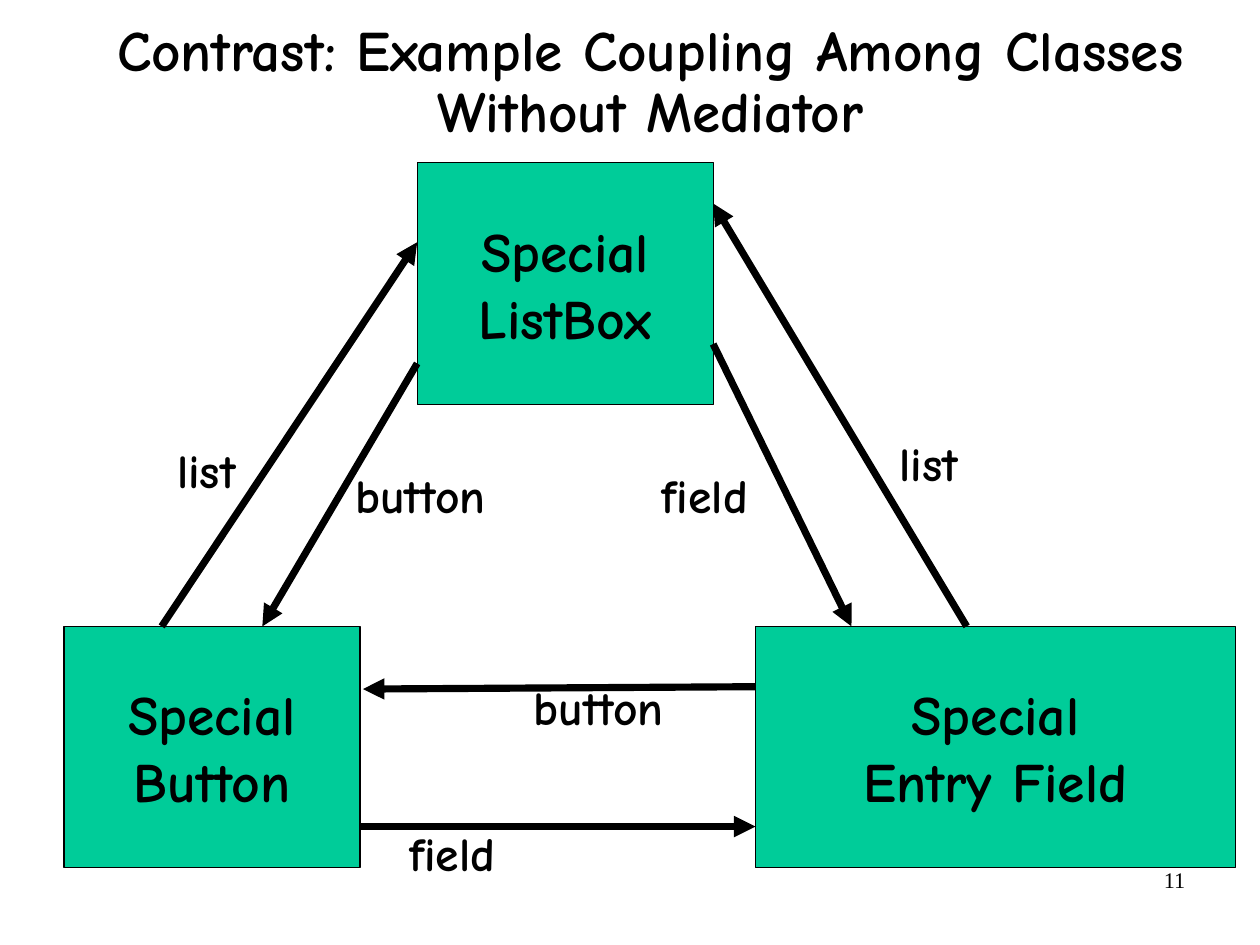
import pptx
import pptx.util
import pptx.dml.color
import pptx.enum.shapes
import pptx.enum.text
import pptx.oxml.ns
import lxml.etree

PX = 9144
BLACK = pptx.dml.color.RGBColor(0x00, 0x00, 0x00)
GREEN = pptx.dml.color.RGBColor(0x00, 0xCC, 0x99)
ALIGN = pptx.enum.text.PP_ALIGN
MIDDLE = pptx.enum.text.MSO_ANCHOR.MIDDLE
GROW = pptx.enum.text.MSO_AUTO_SIZE.SHAPE_TO_FIT_TEXT
COMIC = "Comic Neue"

CLASSES = {
    "button": ("Special\nButton", (0, 406, 259, 211)),
    "field": ("Special\nEntry Field", (605, 406, 420, 211)),
    "list": ("Special\nListBox", (309, 0, 259, 212)),
}
ARROWS = [
    (("button", 0.33, 0), ("list", 0, 0.33)),
    (("list", 0, 0.83), ("button", 0.67, 0)),
    (("button", 1, 0.83), ("field", 0, 0.83)),
    (("field", 0, 0.25), ("button", 1.01, 0.26)),
    (("list", 1, 0.75), ("field", 0.2, 0)),
    (("field", 0.44, 0), ("list", 1, 0.17)),
]
LABELS = [
    ("list", 88, 238, 74),
    ("button", 244, 260, 137),
    ("field", 512, 260, 98),
    ("field", 291, 573, 98),
    ("button", 400, 445, 137),
    ("list", 720, 232, 74),
]


def emu(box):
    """Turn lengths in px into EMU."""
    return [pptx.util.Emu(round(v * PX)) for v in box]


def write(tf, text, size, font=COMIC, bold=True, align=ALIGN.LEFT,
          inset=(11, 6), spacing=None, **frame):
    """Fill a text frame with one paragraph per line of text."""
    x, y = emu(inset)
    frame.update(margin_left=x, margin_right=x, margin_top=y, margin_bottom=y)
    for name, value in frame.items():
        setattr(tf, name, value)
    for i, line in enumerate(text.split("\n")):
        p = tf.add_paragraph() if i else tf.paragraphs[0]
        p.alignment, p.line_spacing = align, spacing
        r = p.add_run()
        r.text = line
        r.font.color.rgb = BLACK
        style = {"name": font, "size": pptx.util.Pt(size), "bold": bold}
        for name, value in style.items():
            setattr(r.font, name, value)


def add_title(slide, box):
    """Move the title placeholder into the box and fill it."""
    sp = slide.shapes.title
    sp.left, sp.top, sp.width, sp.height = emu(box)
    write(sp.text_frame, "Contrast: Example Coupling Among Classes Without Mediator",
          36, align=ALIGN.CENTER, inset=(0, 0), spacing=0.88,
          vertical_anchor=MIDDLE, word_wrap=True)


def add_page_number(slide, box):
    """Write the page number at the right of the box."""
    sp = slide.shapes.add_textbox(*emu(box))
    write(sp.text_frame, "11", 14, font="Times New Roman", bold=False,
          align=ALIGN.RIGHT, inset=(10, 5), word_wrap=True)


def add_class(slide, text, box):
    """Draw one class as a green rectangle."""
    sp = slide.shapes.add_shape(pptx.enum.shapes.MSO_SHAPE.RECTANGLE, *emu(box))
    sp.shadow.inherit = False
    sp.fill.solid()
    sp.fill.fore_color.rgb = GREEN
    sp.line.color.rgb = BLACK
    sp.line.width = pptx.util.Pt(0.75)
    write(sp.text_frame, text, 35, align=ALIGN.CENTER,
          vertical_anchor=MIDDLE, word_wrap=False)


def add_arrow(slide, start, end):
    """Draw a thick line with an arrowhead at its end."""
    line = slide.shapes.add_connector(
        pptx.enum.shapes.MSO_CONNECTOR.STRAIGHT, *emu(start + end))
    line.line.color.rgb = BLACK
    line.line.width = pptx.util.Pt(4.5)
    qn = pptx.oxml.ns.qn
    props = line._element.spPr
    lxml.etree.SubElement(props.find(qn("a:ln")), qn("a:tailEnd"), type="triangle")
    lxml.etree.SubElement(props, qn("a:effectLst"))


def add_diagram(slide, box):
    """Draw the classes, the references between them and their labels."""
    left, top = box[:2]
    places = {}
    for name, (text, (x, y, w, h)) in CLASSES.items():
        places[name] = (left + x, top + y, w, h)
        add_class(slide, text, places[name])

    def point(name, fx, fy):
        """Find a point of a class from fractions of its size."""
        x, y, w, h = places[name]
        return (x + fx * w, y + fy * h)

    for start, end in ARROWS:
        add_arrow(slide, point(*start), point(*end))
    for text, x, y, w in LABELS:
        sp = slide.shapes.add_textbox(*emu((left + x, top + y, w, 61)))
        write(sp.text_frame, text, 30, word_wrap=False, auto_size=GROW)


def main():
    """Build the slide and save it."""
    prs = pptx.Presentation()
    prs.slide_width = pptx.util.Pt(793.75)
    prs.slide_height = pptx.util.Pt(595.25)
    slide = prs.slides.add_slide(prs.slide_layouts[5])
    add_title(slide, (35, 5, 1068, 137))
    add_diagram(slide, (56, 142, 1025, 617))
    add_page_number(slide, (790, 753, 257, 57))
    prs.save("out.pptx")


if __name__ == "__main__":
    main()
